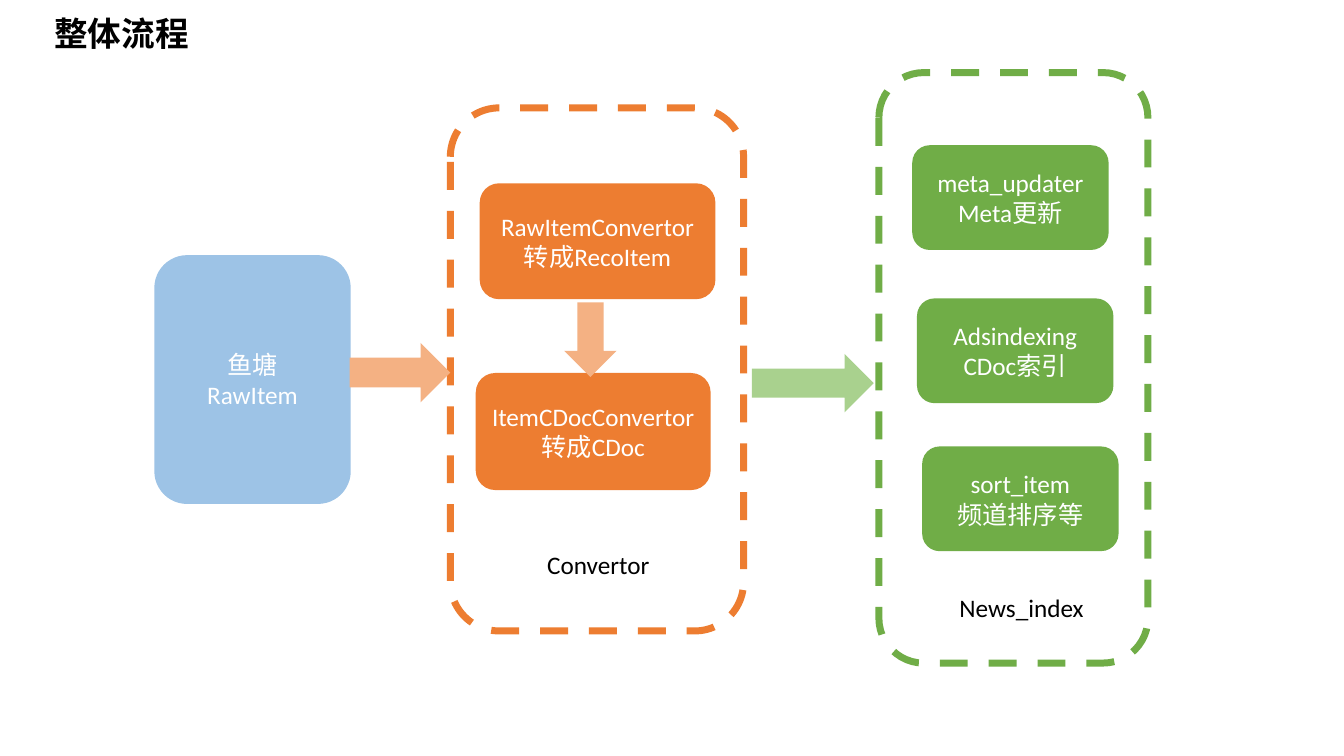
from pptx import Presentation
from pptx.dml.color import RGBColor
from pptx.enum.dml import MSO_LINE
from pptx.enum.shapes import MSO_SHAPE
from pptx.enum.text import MSO_ANCHOR, PP_ALIGN
from pptx.util import Cm, Pt

ROUND = MSO_SHAPE.ROUNDED_RECTANGLE
RIGHT = MSO_SHAPE.RIGHT_ARROW
DOWN = MSO_SHAPE.DOWN_ARROW
DASH = MSO_LINE.DASH
MIDDLE = MSO_ANCHOR.MIDDLE
CENTER = PP_ALIGN.CENTER

BLACK = RGBColor(0x00, 0x00, 0x00)
WHITE = RGBColor(0xFF, 0xFF, 0xFF)
BLUE = RGBColor(0x9D, 0xC3, 0xE6)
ORANGE = RGBColor(0xED, 0x7D, 0x31)
PEACH = RGBColor(0xF4, 0xB1, 0x83)
GREEN = RGBColor(0x70, 0xAD, 0x47)
LIME = RGBColor(0xA9, 0xD1, 0x8E)


def add_shape(slide, kind, box, fill=None):
    shape = slide.shapes.add_shape(kind, *[Cm(v) for v in box])
    shape.shadow.inherit = False
    shape.line.fill.background()
    if fill is None:
        shape.fill.background()
    else:
        shape.fill.solid()
        shape.fill.fore_color.rgb = fill
    return shape


def add_card(slide, box, lines, fill=None, color=WHITE):
    frame = add_shape(slide, ROUND, box, fill).text_frame
    frame.word_wrap = True
    frame.vertical_anchor = MIDDLE
    frame.text = "\n".join(lines)
    for para in frame.paragraphs:
        para.alignment = CENTER
        para.font.size = Pt(18)
        para.font.name = "Calibri"
        para.font.color.rgb = color


def add_frame(slide, box, color):
    line = add_shape(slide, ROUND, box).line
    line.color.rgb = color
    line.width = Pt(5)
    line.dash_style = DASH


def add_title(slide, box):
    frame = slide.shapes.add_textbox(*[Cm(v) for v in box]).text_frame
    frame.word_wrap = True
    frame.text = "整体流程"
    font = frame.paragraphs[0].font
    font.name = "Noto Sans CJK SC"
    font.size = Pt(24)
    font.bold = True
    font.color.rgb = BLACK


def add_stages(slide, box):
    left, top = box[:2]
    add_frame(slide, box, ORANGE)
    add_card(slide, (left + 0.74, top + 1.9, 5.94, 2.92),
             ["RawItemConvertor", "转成RecoItem"], ORANGE)
    add_card(slide, (left + 0.64, top + 6.68, 5.92, 2.95),
             ["ItemCDocConvertor", "转成CDoc"], ORANGE)
    add_card(slide, (left + 0.77, top + 10.34, 5.92, 2.31),
             ["Convertor"], color=BLACK)
    add_shape(slide, DOWN, (left + 2.87, top + 4.9, 1.32, 1.88), PEACH)


def add_index(slide, box):
    left, top = box[:2]
    add_frame(slide, box, GREEN)
    cards = [
        (0.84, 1.83, ["meta_updater", "Meta更新"]),
        (0.96, 5.69, ["Adsindexing", "CDoc索引"]),
        (1.09, 9.42, ["sort_item", "频道排序等"]),
    ]
    for x, y, lines in cards:
        add_card(slide, (left + x, top + y, 4.95, 2.64), lines, GREEN)
    add_card(slide, (left + 1.12, top + 12.42, 4.95, 2.13),
             ["News_index"], color=BLACK)


def main():
    deck = Presentation()
    deck.slide_width, deck.slide_height = Cm(33.87), Cm(19.05)
    slide = deck.slides.add_slide(deck.slide_layouts[6])
    add_index(slide, (22.15, 1.83, 6.78, 14.88))
    add_stages(slide, (11.35, 2.72, 7.39, 13.18))
    add_title(slide, (1.12, 0.2, 25.93, 1.27))
    add_card(slide, (3.89, 6.43, 4.95, 6.27), ["鱼塘", "RawItem"], BLUE)
    add_shape(slide, RIGHT, (8.81, 8.64, 2.54, 1.5), PEACH)
    add_shape(slide, RIGHT, (18.95, 8.92, 3.07, 1.47), LIME)
    deck.save("out.pptx")


if __name__ == "__main__":
    main()
